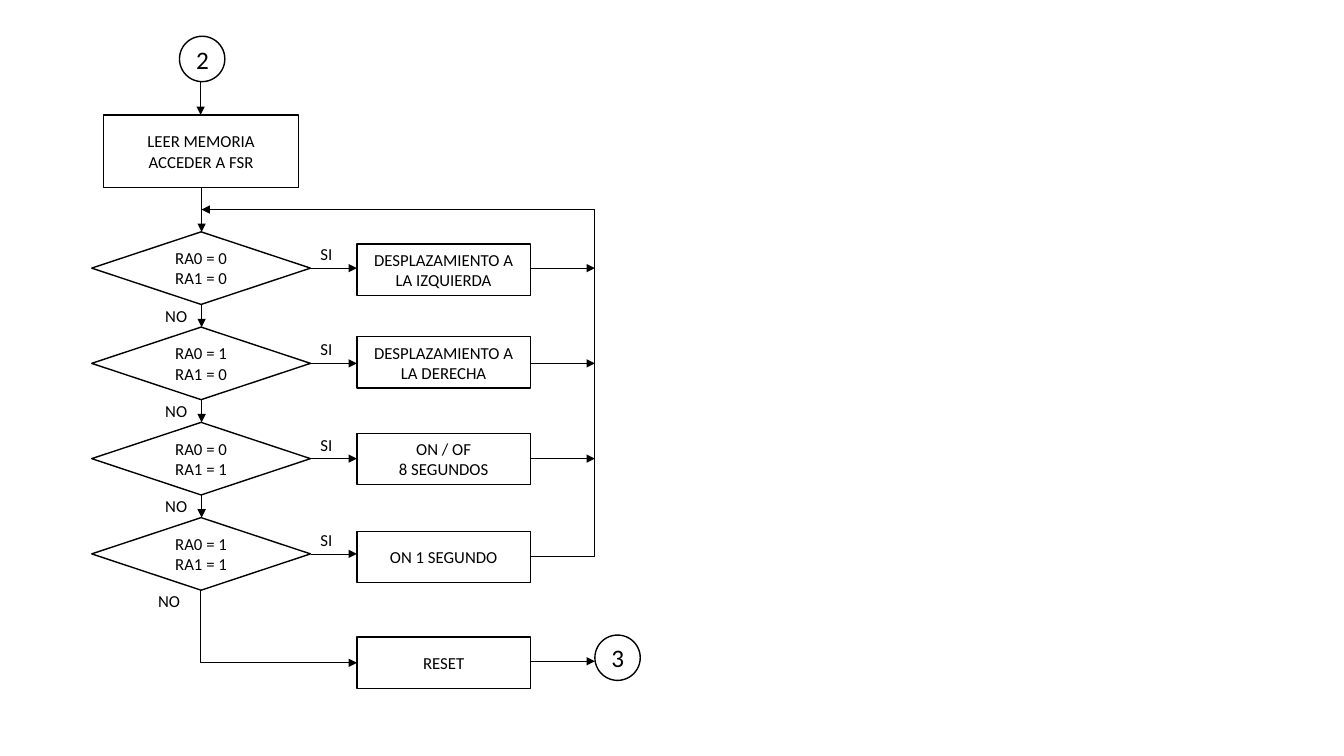
from pptx import Presentation
from pptx import util as u
from pptx.dml.color import RGBColor
from pptx.enum import shapes, text
from pptx.oxml.ns import qn
from lxml import etree

BLACK = RGBColor(0, 0, 0)
WHITE = RGBColor(255, 255, 255)
FONT = "Calibri"

DECISIONS = [
    (["RA0 = 0", "RA1 = 0"], ["DESPLAZAMIENTO A LA IZQUIERDA"], 2.42),
    (["RA0 = 1", "RA1 = 0"], ["DESPLAZAMIENTO A LA DERECHA"], 3.34),
    (["RA0 = 0", "RA1 = 1"], ["ON / OF", "8 SEGUNDOS"], 4.3),
    (["RA0 = 1", "RA1 = 1"], ["ON 1 SEGUNDO"], 5.27),
]
READ = ["LEER MEMORIA", "ACCEDER A FSR"]
RESET = ["RESET"]
START, NEXT = ["2"], ["3"]
YES, NO = "SI", "NO"

AXIS, BOX_X, RETURN_X = 2, 3.54, 5.9
FIRST_ROW, PITCH = 2.3, 0.945
DIAMOND_W, DIAMOND_H = 2.17, 0.72
BOX_W, BOX_H = 1.72, 0.51
CIRCLE = 0.45
DIAMOND_X = 0.91
DIAMOND_END, BOX_END = DIAMOND_X + DIAMOND_W, BOX_X + BOX_W
READ_Y, RETURN_Y, RESET_Y = 1.14, 2.08, 6.32

prs = Presentation()
prs.slide_width, prs.slide_height = u.Inches(13.33), u.Inches(7.5)
s = prs.slides.add_slide(prs.slide_layouts[6])
KIND = shapes.MSO_SHAPE


def write(tf, lines, size, align):
    for i, line in enumerate(lines):
        p = tf.paragraphs[0] if i == 0 else tf.add_paragraph()
        p.alignment = align
        r = p.add_run()
        r.text = line
        for name, value in {"name": FONT, "size": u.Pt(size)}.items():
            setattr(r.font, name, value)
        r.font.color.rgb = BLACK


def node(kind, lines, x, y, w, h, size=12):
    sp = s.shapes.add_shape(kind, *map(u.Inches, (x, y, w, h)))
    sp.shadow.inherit = False
    sp.fill.solid()
    sp.fill.fore_color.rgb = WHITE
    sp.line.color.rgb = BLACK
    sp.line.width = u.Pt(1)
    tf = sp.text_frame
    for name, value in {"word_wrap": True, "vertical_anchor": text.MSO_ANCHOR.MIDDLE}.items():
        setattr(tf, name, value)
    write(tf, lines, size, text.PP_ALIGN.CENTER)


def label(word, x, y):
    tf = s.shapes.add_textbox(*map(u.Inches, (x, y, 0.47, 0.3))).text_frame
    tf.word_wrap = True
    tf.auto_size = text.MSO_AUTO_SIZE.SHAPE_TO_FIT_TEXT
    write(tf, [word], 12, text.PP_ALIGN.LEFT)


def arrow(x1, y1, x2, y2, kind=shapes.MSO_CONNECTOR.STRAIGHT):
    cn = s.shapes.add_connector(kind, *map(u.Inches, (x1, y1, x2, y2)))
    cn.line.color.rgb = BLACK
    cn.line.width = u.Pt(0.5)
    props = cn._element.spPr
    etree.SubElement(props.find(qn("a:ln")), qn("a:tailEnd"), type="triangle")
    etree.SubElement(props, qn("a:effectLst"))
    return props


def loop_back(x1, y1, x2, y2, turn_x):
    props = arrow(x1, y1, x2, y2, shapes.MSO_CONNECTOR.ELBOW)
    guides = props.find(qn("a:prstGeom")).find(qn("a:avLst"))
    share = round((turn_x - x1) / (x2 - x1) * 100000)
    etree.SubElement(guides, qn("a:gd"), name="adj1", fmla=f"val {share}")


def down_then_right(x1, y1, x2, y2):
    mid_x, mid_y = (x1 + x2) / 2, (y1 + y2) / 2
    half_w, half_h = (y2 - y1) / 2, (x2 - x1) / 2
    props = arrow(mid_x + half_w, mid_y - half_h, mid_x - half_w, mid_y + half_h,
                  shapes.MSO_CONNECTOR.ELBOW)
    props.find(qn("a:xfrm")).set("rot", str(270 * 60000))
    props.find(qn("a:prstGeom")).set("prst", "bentConnector2")


node(KIND.FLOWCHART_CONNECTOR, START, 1.78, 0.36, CIRCLE, CIRCLE, 18)
node(KIND.RECTANGLE, READ, 1.03, READ_Y, 1.93, DIAMOND_H)
arrow(1.99, 0.36 + CIRCLE, 1.99, READ_Y)
arrow(AXIS, READ_Y + DIAMOND_H, AXIS, FIRST_ROW)

for i, (test, action, box_y) in enumerate(DECISIONS):
    last = i == len(DECISIONS) - 1
    y = FIRST_ROW + i * PITCH
    mid = y + DIAMOND_H / 2
    node(KIND.FLOWCHART_DECISION, test, DIAMOND_X, y, DIAMOND_W, DIAMOND_H)
    node(KIND.RECTANGLE, action, BOX_X, box_y, BOX_W, BOX_H)
    label(YES, DIAMOND_END, mid - 0.29)
    label(NO, 1.47 if last else 1.54, y + 0.68)
    arrow(DIAMOND_END, mid, BOX_X, mid)
    if last:
        loop_back(BOX_END, box_y + BOX_H / 2, AXIS, RETURN_Y, RETURN_X)
        down_then_right(1.99, y + DIAMOND_H, BOX_X, RESET_Y + BOX_H / 2)
    else:
        arrow(AXIS, y + DIAMOND_H, AXIS, y + PITCH)
        arrow(BOX_END, mid, RETURN_X, mid)

node(KIND.RECTANGLE, RESET, BOX_X, RESET_Y, BOX_W, BOX_H)
arrow(BOX_END, 6.56, RETURN_X, 6.56)
node(KIND.FLOWCHART_CONNECTOR, NEXT, RETURN_X, 6.3, CIRCLE, CIRCLE, 18)

prs.save("out.pptx")
